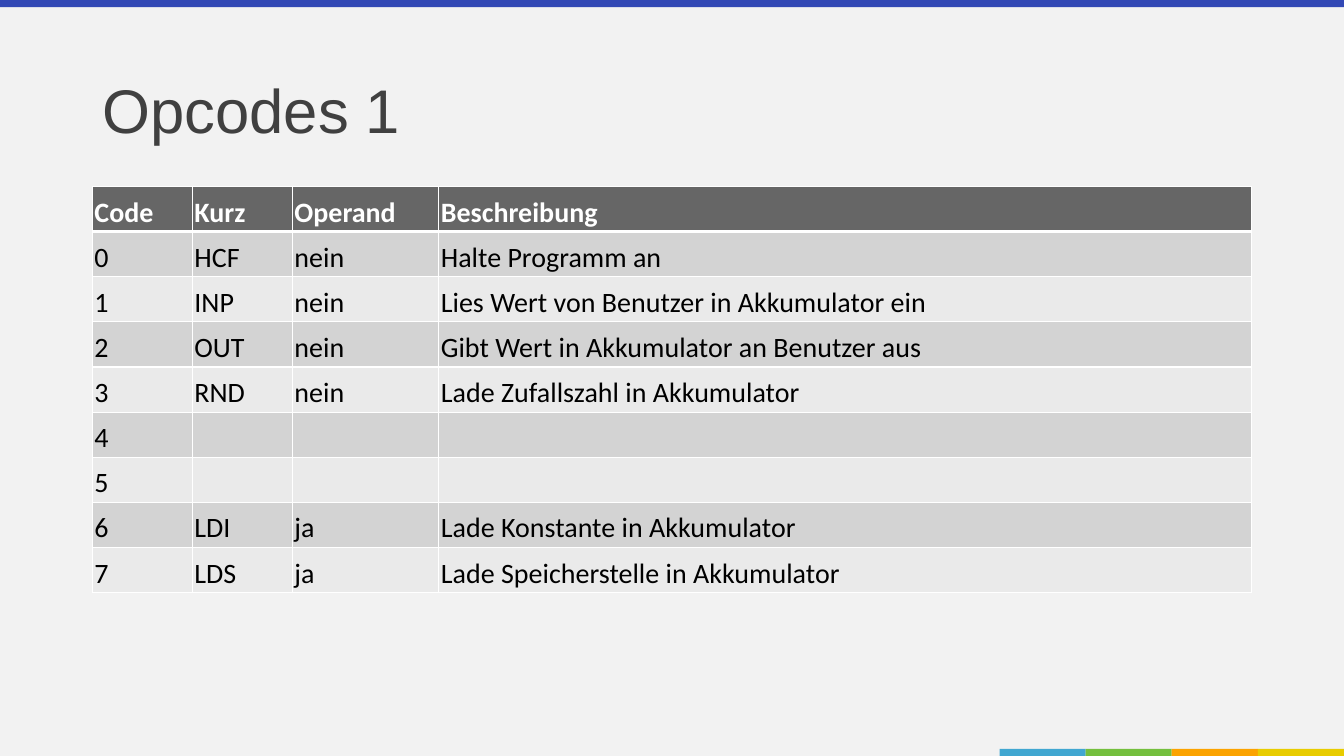
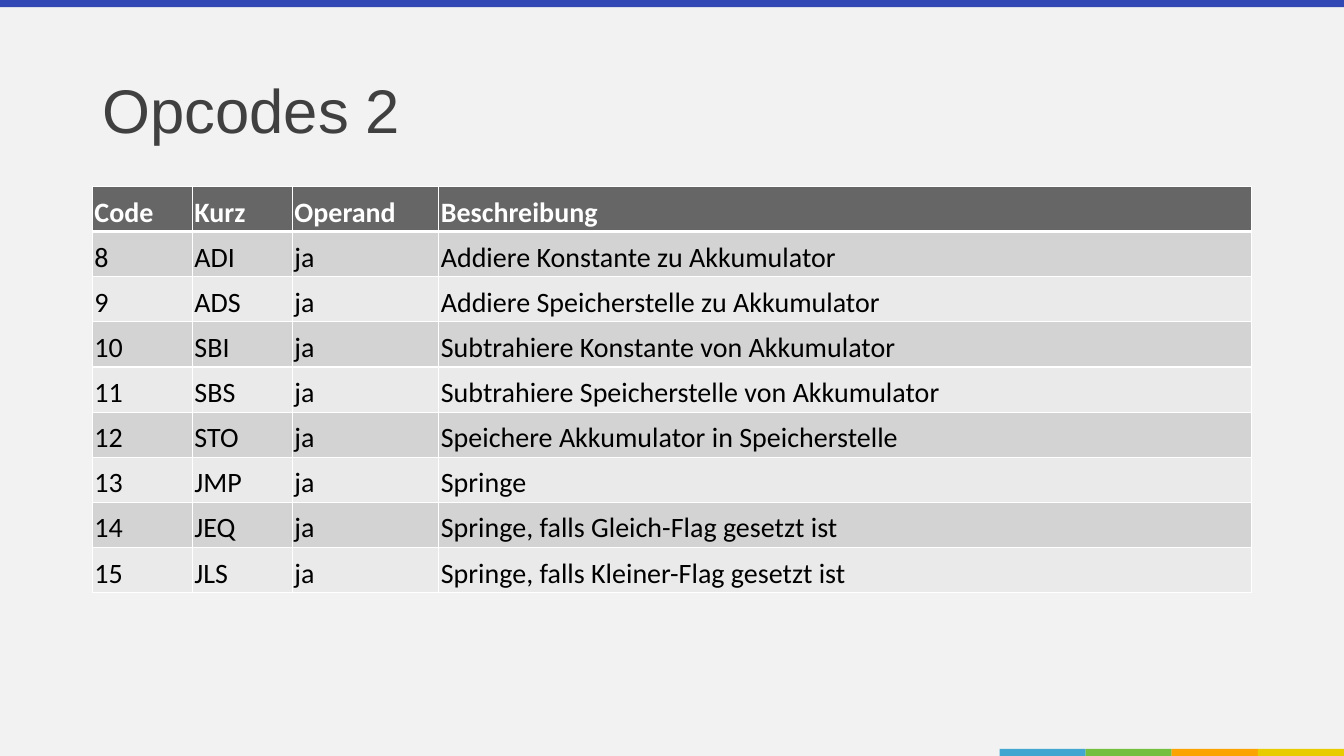
from dataclasses import dataclass

from lxml import etree
from pptx import Presentation
from pptx import util as u
from pptx.dml import color
from pptx.enum import shapes, text
from pptx.oxml import ns

SLIDE_WIDTH, SLIDE_HEIGHT = 33.87, 19.05
LEFT, CONTENT_WIDTH = 2.33, 29.21
BAND_HEIGHT, ACCENT_WIDTH = 0.18, 2.17
TABLE_TOP, ROW_HEIGHT, CELL_MARGIN = 4.7, 1.05, 0.05
COLUMN_WIDTHS = (2.52, 2.52, 3.69, 20.48)
BACKGROUND, TOP_BAND, TITLE_COLOR = "F2F2F2", "3248B5", "404040"
ACCENTS = ("41A7D1", "74BF3D", "FBA300", "E8CC00")
WHITE, BLACK, HEADER_FILL = "FFFFFF", "000000", "666666"
ROW_FILLS = ("D3D3D3", "EAEAEA")
HEADINGS = ("Code", "Kurz", "Operand", "Beschreibung")


@dataclass(frozen=True)
class Opcode:
    code: int
    mnemonic: str = ""
    operand: str = ""
    description: str = ""

    def cells(self) -> tuple[str, ...]:
        return str(self.code), self.mnemonic, self.operand, self.description


@dataclass(frozen=True)
class OpcodePage:
    title: str
    opcodes: tuple[Opcode, ...]


PAGES = (
    OpcodePage("Opcodes 1", (
        Opcode(0, "HCF", "nein", "Halte Programm an"),
        Opcode(1, "INP", "nein", "Lies Wert von Benutzer in Akkumulator ein"),
        Opcode(2, "OUT", "nein", "Gibt Wert in Akkumulator an Benutzer aus"),
        Opcode(3, "RND", "nein", "Lade Zufallszahl in Akkumulator"),
        Opcode(4),
        Opcode(5),
        Opcode(6, "LDI", "ja", "Lade Konstante in Akkumulator"),
        Opcode(7, "LDS", "ja", "Lade Speicherstelle in Akkumulator"),
    )),
    OpcodePage("Opcodes 2", (
        Opcode(8, "ADI", "ja", "Addiere Konstante zu Akkumulator"),
        Opcode(9, "ADS", "ja", "Addiere Speicherstelle zu Akkumulator"),
        Opcode(10, "SBI", "ja", "Subtrahiere Konstante von Akkumulator"),
        Opcode(11, "SBS", "ja", "Subtrahiere Speicherstelle von Akkumulator"),
        Opcode(12, "STO", "ja", "Speichere Akkumulator in Speicherstelle"),
        Opcode(13, "JMP", "ja", "Springe"),
        Opcode(14, "JEQ", "ja", "Springe, falls Gleich-Flag gesetzt ist"),
        Opcode(15, "JLS", "ja", "Springe, falls Kleiner-Flag gesetzt ist"),
    )),
)


def paint(fill, hex_color: str) -> None:
    fill.solid()
    fill.fore_color.rgb = color.RGBColor.from_string(hex_color)


def format_text(frame, font: str, size: float, hex_color: str,
                spacing: float, bold: bool = False) -> None:
    for paragraph in frame.paragraphs:
        paragraph.alignment = text.PP_ALIGN.LEFT
        paragraph.line_spacing = spacing
        for run in paragraph.runs:
            run.font.name = font
            run.font.size = u.Pt(size)
            run.font.bold = bold
            paint(run.font.fill, hex_color)


def add_band(slide, left: float, top: float, width: float, hex_color: str) -> None:
    band = slide.shapes.add_shape(shapes.MSO_SHAPE.RECTANGLE, u.Cm(left), u.Cm(top),
                                  u.Cm(width), u.Cm(BAND_HEIGHT))
    band.shadow.inherit = False
    band.line.fill.background()
    paint(band.fill, hex_color)


def add_bands(slide) -> None:
    add_band(slide, 0, 0, SLIDE_WIDTH, TOP_BAND)
    first_left = SLIDE_WIDTH - len(ACCENTS) * ACCENT_WIDTH
    for index, accent in enumerate(ACCENTS):
        add_band(slide, first_left + index * ACCENT_WIDTH,
                 SLIDE_HEIGHT - BAND_HEIGHT, ACCENT_WIDTH, accent)


def set_title(slide, wording: str) -> None:
    title = slide.shapes.title
    title.left, title.top = u.Cm(LEFT), u.Cm(1.01)
    title.width, title.height = u.Cm(CONTENT_WIDTH), u.Cm(3.68)
    title.text_frame.text = wording
    title.text_frame.vertical_anchor = text.MSO_ANCHOR.MIDDLE
    format_text(title.text_frame, "Arial", 44, TITLE_COLOR, 0.9)


def set_borders(cell, top: float, bottom: float) -> None:
    properties = cell._tc.get_or_add_tcPr()
    for side, points in (("L", 1), ("R", 1), ("T", top), ("B", bottom)):
        border = etree.SubElement(properties, ns.qn(f"a:ln{side}"), w=str(u.Pt(points)))
        fill = etree.SubElement(border, ns.qn("a:solidFill"))
        etree.SubElement(fill, ns.qn("a:srgbClr"), val=WHITE)


def style_cell(cell, row: int) -> None:
    header = row == 0
    set_borders(cell, top=3 if row == 1 else 1, bottom=3 if header else 1)
    paint(cell.fill, HEADER_FILL if header else ROW_FILLS[(row - 1) % 2])
    cell.margin_left = cell.margin_right = u.Cm(CELL_MARGIN)
    cell.margin_top = cell.margin_bottom = u.Cm(CELL_MARGIN)
    format_text(cell.text_frame, "Calibri", 20, WHITE if header else BLACK, 1.2, header)


def add_opcode_table(slide, opcodes: tuple[Opcode, ...]) -> None:
    rows = (HEADINGS, *(opcode.cells() for opcode in opcodes))
    table = slide.shapes.add_table(
        len(rows), len(HEADINGS), u.Cm(LEFT), u.Cm(TABLE_TOP),
        u.Cm(CONTENT_WIDTH), u.Cm(len(rows) * ROW_HEIGHT)).table
    table.horz_banding = False
    for column, width in zip(table.columns, COLUMN_WIDTHS):
        column.width = u.Cm(width)
    for row, wordings in enumerate(rows):
        for column, wording in enumerate(wordings):
            cell = table.cell(row, column)
            cell.text_frame.text = wording
            style_cell(cell, row)


def main() -> None:
    deck = Presentation()
    deck.slide_width, deck.slide_height = u.Cm(SLIDE_WIDTH), u.Cm(SLIDE_HEIGHT)
    paint(deck.slide_master.background.fill, BACKGROUND)
    title_only = deck.slide_layouts.get_by_name("Title Only")
    for page in PAGES:
        slide = deck.slides.add_slide(title_only)
        add_bands(slide)
        set_title(slide, page.title)
        add_opcode_table(slide, page.opcodes)
    deck.save("out.pptx")


if __name__ == "__main__":
    main()
